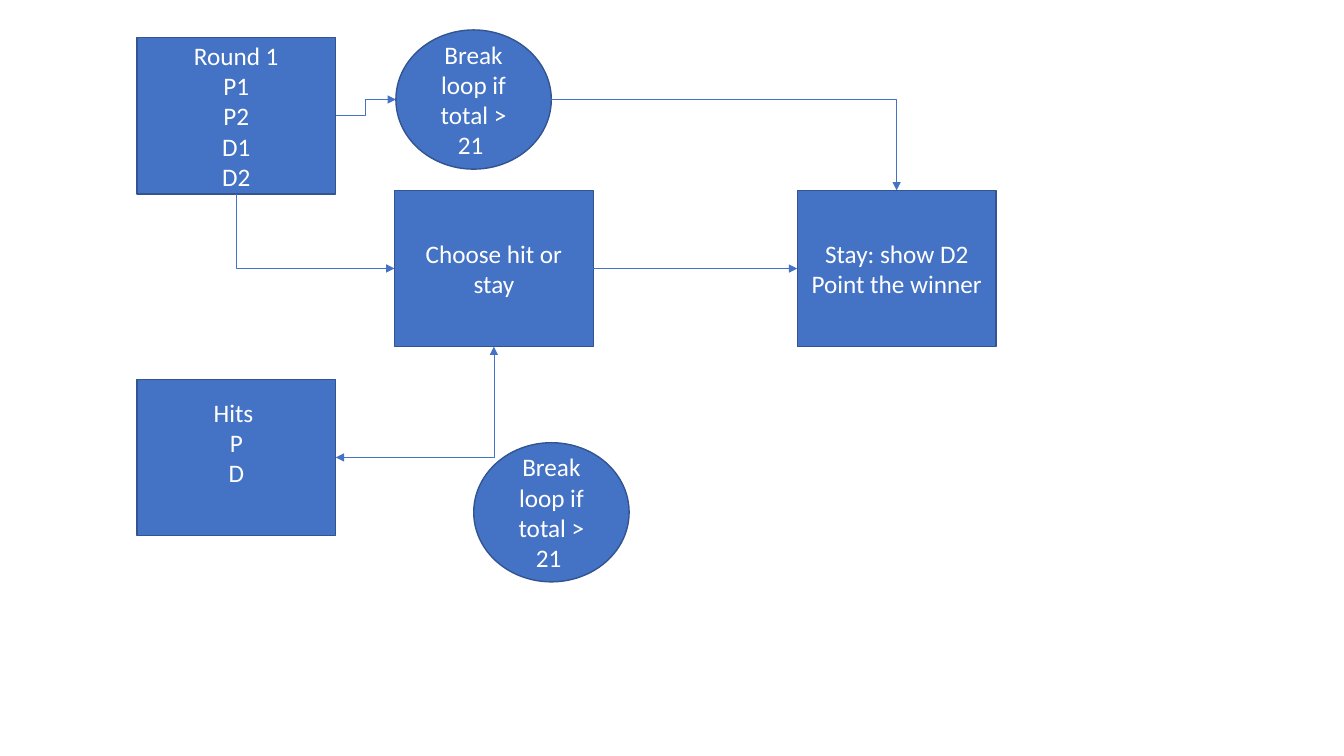
from lxml import etree
from pptx import Presentation
from pptx import util as u
from pptx.dml.color import RGBColor
from pptx.enum import shapes, text
from pptx.oxml.ns import qn

RECT = shapes.MSO_SHAPE.RECTANGLE
OVAL = shapes.MSO_SHAPE.OVAL

# Position of each side as a fraction of width and height
SIDES = {"top": (0.5, 0), "left": (0, 0.5), "bottom": (0.5, 1), "right": (1, 0.5)}
# Connection sites run anticlockwise from the top; an oval has one between each pair of sides
SITE_STEP = {RECT: 1, OVAL: 2}


def color(value):
    return RGBColor.from_string(value)


def write(para, words, *, font, size, hue, align=text.PP_ALIGN.CENTER):
    para.alignment = align
    span = para.add_run()
    span.text = words
    span.font.name = font
    span.font.size = u.Pt(size)
    span.font.color.rgb = color(hue)


class FlowChart:
    fill = "4472C4"
    outline = "325491"
    label = {"font": "Calibri", "size": 18, "hue": "FFFFFF"}
    line_height = 21.6

    def __init__(self, page):
        self.page = page

    def node(self, kind, left, top, width, height, lines, lift=0):
        """Draw a labelled shape; lift raises the label by that many half lines."""
        box = self.page.shapes.add_shape(kind, *map(u.Pt, (left, top, width, height)))
        box.shadow.inherit = False
        box.fill.solid()
        box.fill.fore_color.rgb = color(self.fill)
        box.line.color.rgb = color(self.outline)
        box.line.width = u.Pt(1)
        frame = box.text_frame
        frame.word_wrap = True
        frame.vertical_anchor = text.MSO_ANCHOR.MIDDLE
        frame.margin_bottom = u.Pt(3.6 + lift * self.line_height)
        for index, words in enumerate(lines):
            para = frame.add_paragraph() if index else frame.paragraphs[0]
            write(para, words, **self.label)
        return box

    def step(self, left, top, *lines, lift=0):
        return self.node(RECT, left, top, 142, 111.6, lines, lift)

    def stop(self, left, top):
        return self.node(OVAL, left, top, 111, 99.4, ["Break loop if total > 21 "])

    def link(self, start, start_side, end, end_side, preset, arrows):
        """Glue a connector between two sides, with arrowheads at the named ends."""
        points = []
        for box, side in ((start, start_side), (end, end_side)):
            across, down = SIDES[side]
            points += [int(box.left + across * box.width), int(box.top + down * box.height)]
        bent = preset.startswith("bent")
        kind = shapes.MSO_CONNECTOR.ELBOW if bent else shapes.MSO_CONNECTOR.STRAIGHT
        line = self.page.shapes.add_connector(kind, *points)
        line.line.color.rgb = color(self.fill)
        line.line.width = u.Pt(0.5)

        element = line._element
        element.spPr.find(qn("a:prstGeom")).set("prst", preset)
        stroke = element.spPr.find(qn("a:ln"))
        for arrow in arrows:
            etree.SubElement(stroke, qn(f"a:{arrow}End"), type="triangle")
        etree.SubElement(element.spPr, qn("a:effectLst"))
        glue = element.find(".//" + qn("p:cNvCxnSpPr"))
        for tag, box, side in (("a:stCxn", start, start_side), ("a:endCxn", end, end_side)):
            site = list(SIDES).index(side) * SITE_STEP[box.auto_shape_type]
            etree.SubElement(glue, qn(tag), id=str(box.shape_id), idx=str(site))


def main():
    deck = Presentation()
    deck.slide_width, deck.slide_height = u.Pt(960), u.Pt(540)
    chart = FlowChart(deck.slides.add_slide(deck.slide_layouts[6]))

    first_column, second_column, third_column = 97.8, 281.8, 569.5
    middle_row = 136
    deal = chart.step(first_column, 26.9, "Round 1", "P1", "P2", "D1", "D2")
    choose = chart.step(second_column, middle_row, "Choose hit or stay")
    stay = chart.step(third_column, middle_row, "Stay: show D2", "Point the winner")
    hits = chart.step(first_column, 271, "Hits ", "P", "D", lift=1)
    chart.stop(338.4, 316.2)
    bust = chart.stop(282.8, 21.4)

    chart.link(choose, "left", deal, "bottom", "bentConnector2", ["head"])
    chart.link(choose, "right", stay, "left", "line", ["tail"])
    chart.link(hits, "right", choose, "bottom", "bentConnector2", ["head", "tail"])
    chart.link(deal, "right", bust, "left", "bentConnector3", ["tail"])
    chart.link(bust, "right", stay, "top", "bentConnector2", ["tail"])

    deck.save("out.pptx")


if __name__ == "__main__":
    main()
